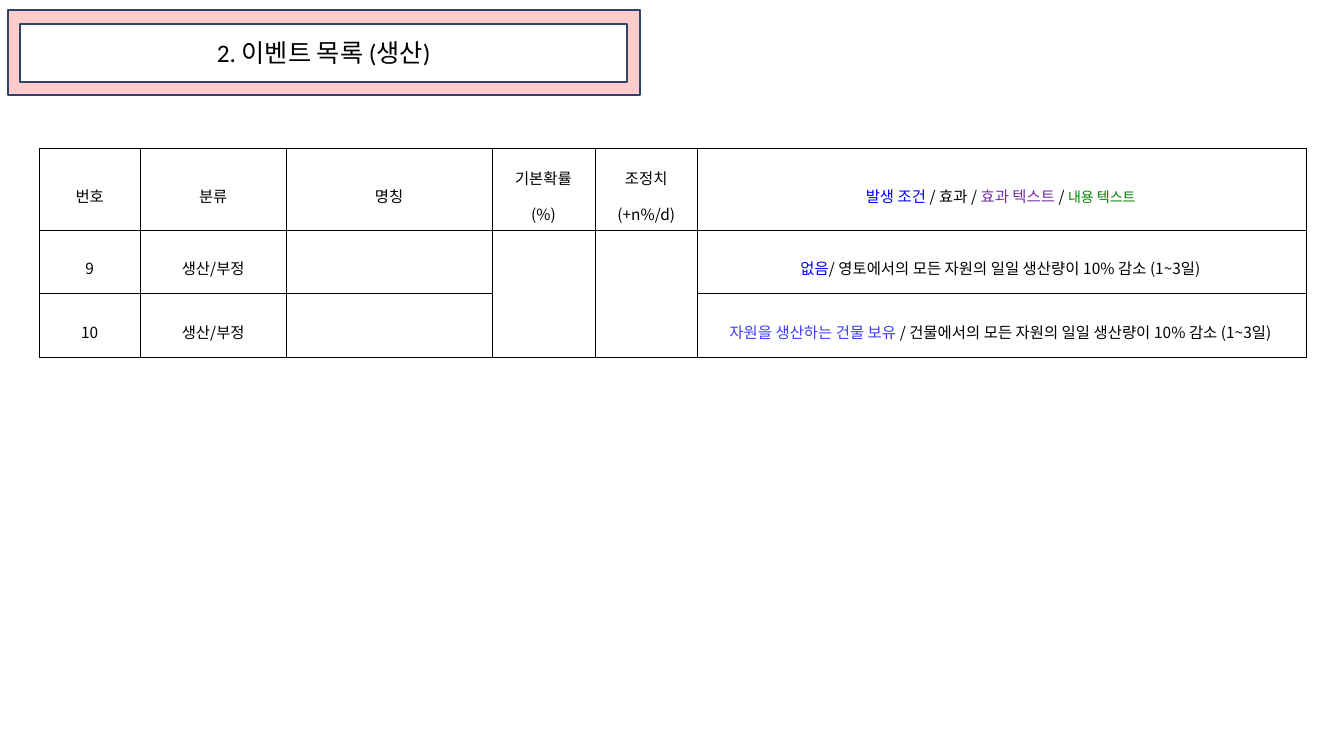
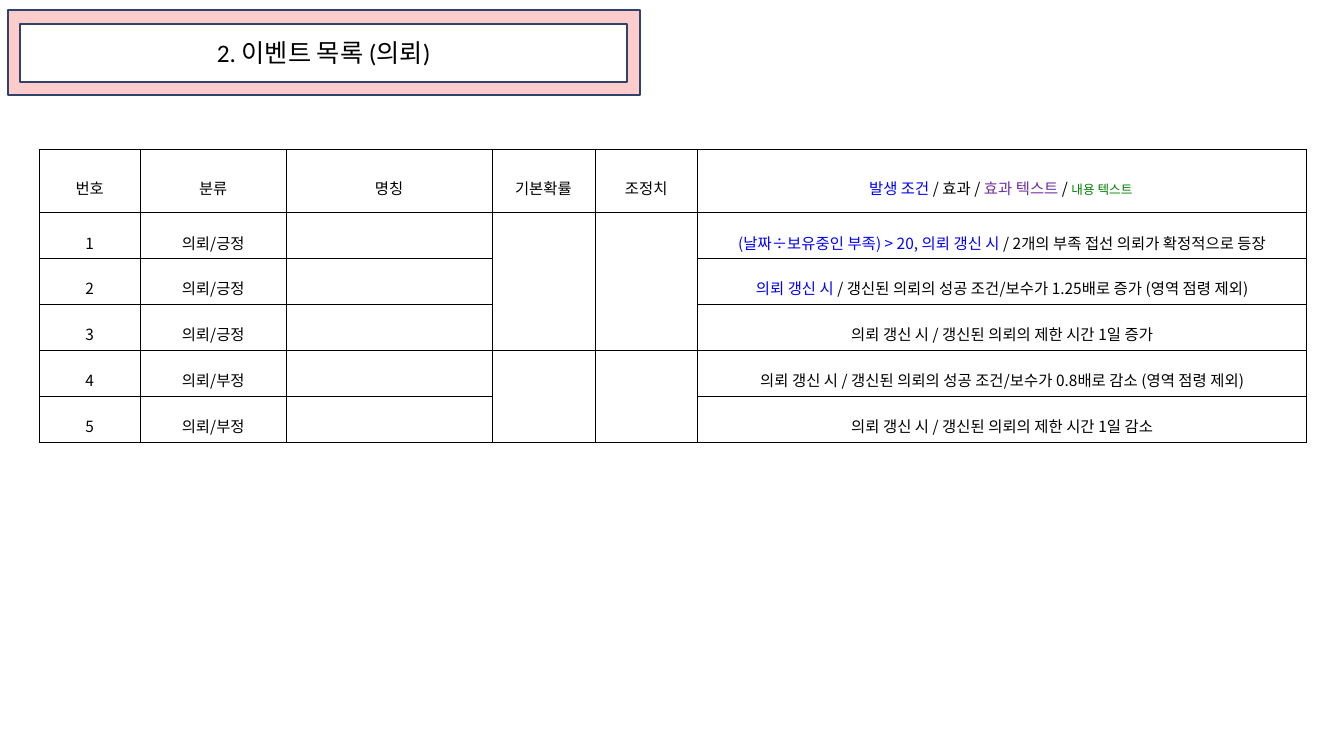
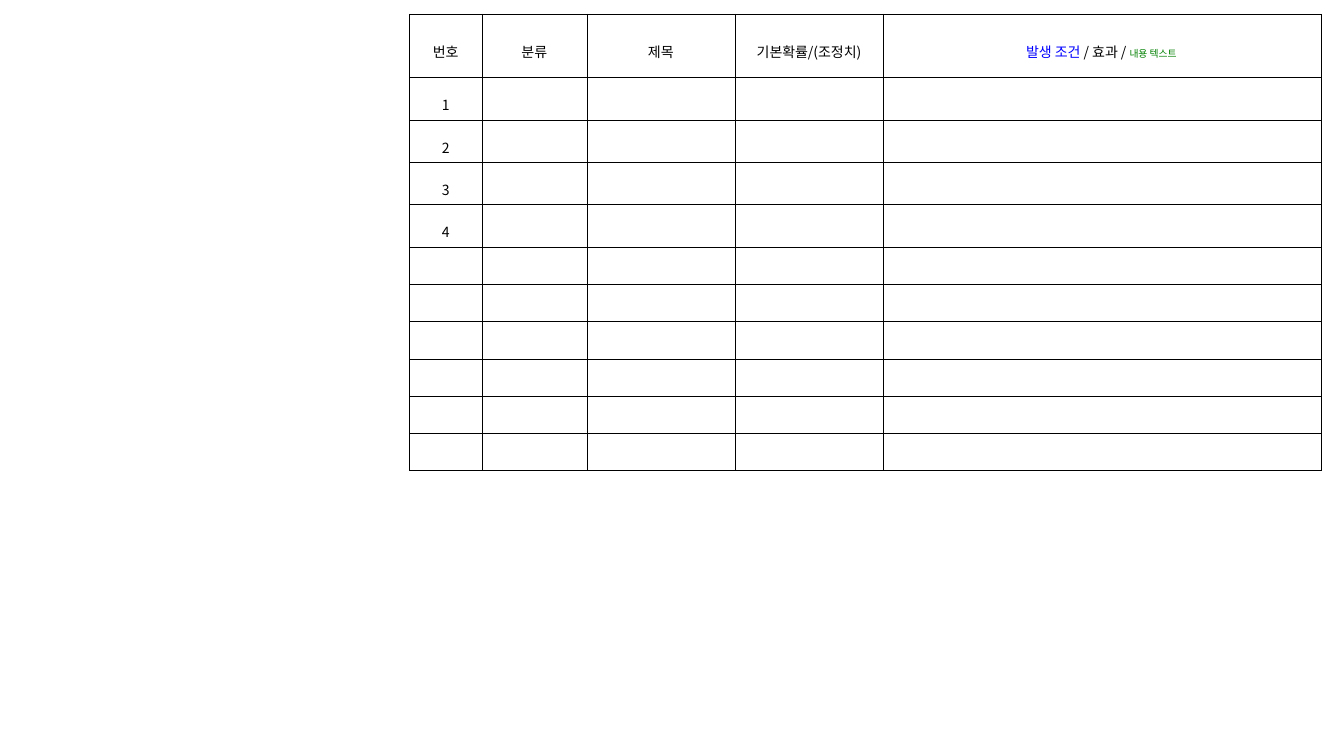
"""Build the event list slides: a framed title above a ruled table."""
import pptx
import pptx.util
import pptx.dml.color
import pptx.enum.shapes
import pptx.enum.text
import pptx.oxml.ns
from lxml import etree

Inches = pptx.util.Inches
Pt = pptx.util.Pt
RGBColor = pptx.dml.color.RGBColor
SHAPES = pptx.enum.shapes.MSO_SHAPE
CENTER = pptx.enum.text.PP_ALIGN.CENTER
MIDDLE = pptx.enum.text.MSO_ANCHOR.MIDDLE
qn = pptx.oxml.ns.qn

BLACK = RGBColor(0x00, 0x00, 0x00)
WHITE = RGBColor(0xFF, 0xFF, 0xFF)
PINK = RGBColor(0xFF, 0xCC, 0xCC)
NAVY = RGBColor(0x30, 0x41, 0x6A)
BLUE = RGBColor(0x00, 0x00, 0xFF)
SOFT_BLUE = RGBColor(0x3B, 0x3B, 0xFF)
PURPLE = RGBColor(0x70, 0x30, 0xA0)
GREEN = RGBColor(0x00, 0x80, 0x00)

TABLE_FONT = "Noto Sans CJK KR"
TITLE_FONT = "Calibri"
BORDER_WIDTH = Pt(0.33)
EVENT_COLUMNS = [1, 1.45, 2.04, 1.02, 1.02, 6.04]
BLANK_COLUMNS = [0.72, 1.04, 1.47, 1.47, 4.35]


def add_text(paragraph, text, size=11, color=BLACK, font=TABLE_FONT, spacing=None):
    """Append a formatted run to a centred paragraph."""
    paragraph.alignment = CENTER
    if spacing:
        paragraph.line_spacing = spacing
    run = paragraph.add_run()
    run.text = text
    run.font.size = Pt(size)
    run.font.color.rgb = color
    run.font.name = font
    east_asian = etree.SubElement(run.font._element, qn("a:ea"))
    east_asian.set("typeface", TABLE_FONT)


def add_panel(slide, preset, left, top, width, height, fill):
    """Draw one outlined panel of the title frame."""
    panel = slide.shapes.add_shape(
        preset, Inches(left), Inches(top), Inches(width), Inches(height))
    panel.shadow.inherit = False
    panel.fill.solid()
    panel.fill.fore_color.rgb = fill
    panel.line.color.rgb = NAVY
    panel.line.width = Pt(1.5)
    return panel


def add_title(slide, title):
    """Draw the pink frame with the title panel inside it."""
    add_panel(slide, SHAPES.RECTANGLE, 0.08, 0.1, 6.27, 0.84, PINK)
    panel = add_panel(slide, SHAPES.FLOWCHART_PROCESS, 0.2, 0.24, 6.02, 0.57, WHITE)
    panel.text_frame.vertical_anchor = MIDDLE
    add_text(panel.text_frame.paragraphs[0], title, size=18, font=TITLE_FONT)


def rule_cell(cell):
    """Give a cell thin black borders and no fill."""
    properties = cell._tc.get_or_add_tcPr()
    for side in ("a:lnL", "a:lnR", "a:lnT", "a:lnB"):
        border = etree.SubElement(properties, qn(side), w=str(int(BORDER_WIDTH)))
        solid = etree.SubElement(border, qn("a:solidFill"))
        etree.SubElement(solid, qn("a:srgbClr"), val=str(BLACK))
    cell.fill.background()


def fill_cell(cell, content, size):
    """Write plain text, or (text, format) runs, into a cell."""
    cell.vertical_anchor = MIDDLE
    rule_cell(cell)
    frame = cell.text_frame
    if not content:
        etree.SubElement(frame.paragraphs[0]._p, qn("a:endParaRPr"), sz=str(size * 100))
    elif isinstance(content, str):
        for index, line in enumerate(content.split("\n")):
            paragraph = frame.add_paragraph() if index else frame.paragraphs[0]
            add_text(paragraph, line, size=size, spacing=1.6)
    else:
        for text, style in content:
            add_text(frame.paragraphs[0], text, spacing=1.6, **{"size": size, **style})


def add_ruled_table(slide, left, top, columns, heights, rows, size=11, merges=()):
    """Add a ruled table; merges lists (first row, last row, column)."""
    table = slide.shapes.add_table(
        len(rows), len(columns), Inches(left), Inches(top),
        Inches(sum(columns)), Inches(sum(heights))).table
    table.first_row = False
    table.horz_banding = False
    for column, width in zip(table.columns, columns):
        column.width = Inches(width)
    for row, height, contents in zip(table.rows, heights, rows):
        row.height = Inches(height)
        for cell, content in zip(row.cells, contents):
            fill_cell(cell, content, size)
    for first, last, column in merges:
        table.cell(first, column).merge(table.cell(last, column))


def legend(note_size, with_effect_text=True):
    """Return the coloured heading of the description column."""
    effect_text = [("효과 텍스트 ", {"color": PURPLE}), ("/ ", {})]
    return [("발생 조건 ", {"color": BLUE}), ("/ 효과 / ", {}),
            *(effect_text if with_effect_text else []),
            ("내용 텍스트 ", {"size": note_size, "color": GREEN})]


def event(number, category, effect, condition="", color=BLUE):
    """Return one event row, with its condition coloured."""
    description = [(condition, {"color": color})] if condition else []
    return [str(number), category, "", "", "", description + [(effect, {})]]


def add_production_slide(slide):
    """Build the list of production events."""
    rows = [
        ["번호", "분류", "명칭", "기본확률\n(%)", "조정치\n(+n%/d)", legend(10)],
        event(9, "생산/부정", "/ 영토에서의 모든 자원의 일일 생산량이 10% 감소 (1~3일) ", "없음"),
        event(10, "생산/부정", "/ 건물에서의 모든 자원의 일일 생산량이 10% 감소 (1~3일) ",
              "자원을 생산하는 건물 보유 ", SOFT_BLUE),
    ]
    add_ruled_table(slide, 0.39, 1.47, EVENT_COLUMNS, [0.8, 0.63, 0.63], rows,
                    merges=[(1, 2, 3), (1, 2, 4)])
    add_title(slide, "2. 이벤트 목록 (생산)")


def add_request_slide(slide):
    """Build the list of request events."""
    rows = [
        ["번호", "분류", "명칭", "기본확률", "조정치", legend(9)],
        event(1, "의뢰/긍정", "/ 2개의 부족 접선 의뢰가 확정적으로 등장",
              "(날짜÷보유중인 부족) > 20, 의뢰 갱신 시 "),
        event(2, "의뢰/긍정", "/ 갱신된 의뢰의 성공 조건/보수가 1.25배로 증가 (영역 점령 제외)",
              "의뢰 갱신 시 "),
        event(3, "의뢰/긍정", "의뢰 갱신 시 / 갱신된 의뢰의 제한 시간 1일 증가"),
        event(4, "의뢰/부정",
              "의뢰 갱신 시 / 갱신된 의뢰의 성공 조건/보수가 0.8배로 감소 (영역 점령 제외)"),
        event(5, "의뢰/부정", "의뢰 갱신 시 / 갱신된 의뢰의 제한 시간 1일 감소"),
    ]
    add_ruled_table(slide, 0.39, 1.48, EVENT_COLUMNS, [0.63] + [0.45] * 5, rows,
                    merges=[(1, 3, 3), (1, 3, 4), (4, 5, 3), (4, 5, 4)])
    add_title(slide, "2. 이벤트 목록 (의뢰)")


def add_blank_form_slide(slide):
    """Build the empty event form."""
    numbers = ["1", "2", "3", "4"] + [""] * 6
    rows = [["번호", "분류", "제목", "기본확률/(조정치)", legend(7, with_effect_text=False)]]
    rows += [[number, "", "", "", ""] for number in numbers]
    heights = [0.63] + [0.42 if number else 0.37 for number in numbers]
    add_ruled_table(slide, 4.06, 0.14, BLANK_COLUMNS, heights, rows, size=10)


def main():
    """Build and save the presentation."""
    deck = pptx.Presentation()
    deck.slide_width = Inches(13.33)
    deck.slide_height = Inches(7.5)
    for build in (add_production_slide, add_request_slide, add_blank_form_slide):
        build(deck.slides.add_slide(deck.slide_layouts[6]))
    deck.save("out.pptx")


if __name__ == "__main__":
    main()
